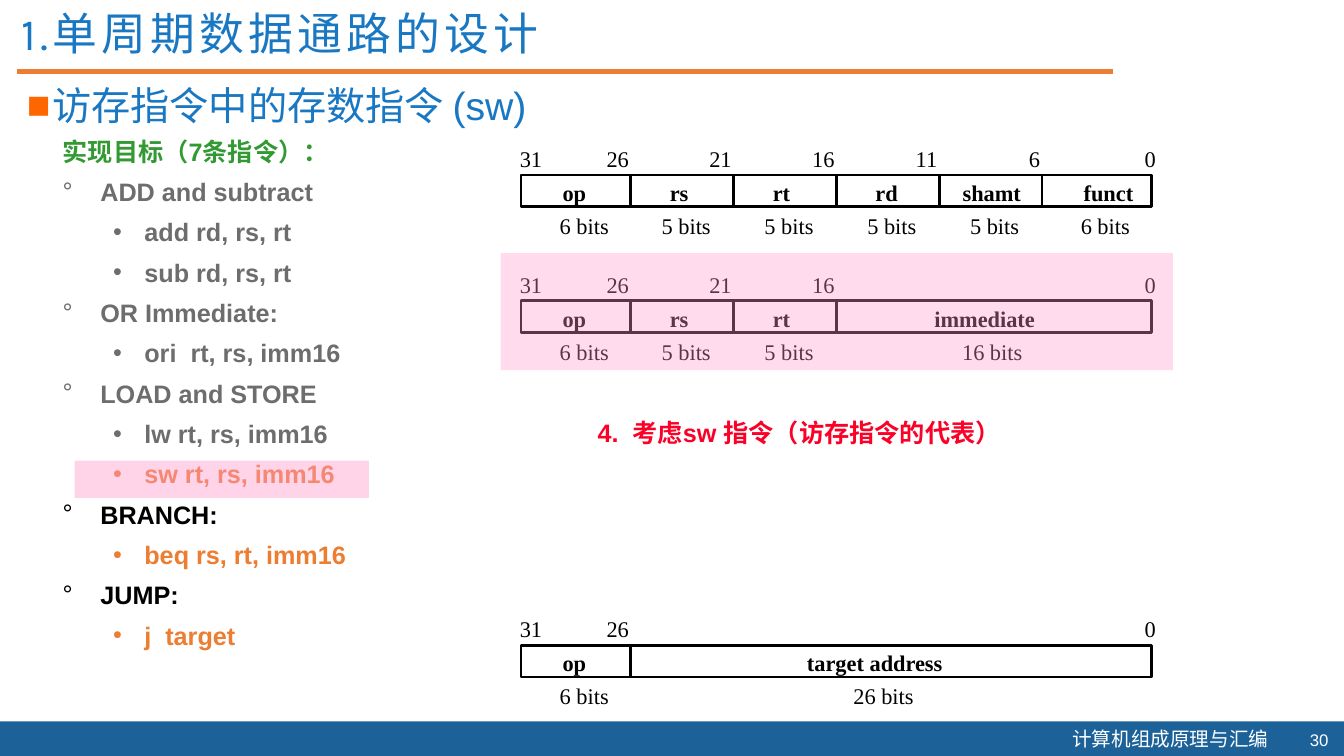
from dataclasses import dataclass
from itertools import accumulate

from lxml.etree import SubElement
from pptx import Presentation
from pptx.dml.color import RGBColor
from pptx.enum.shapes import MSO_CONNECTOR as Connector, MSO_SHAPE as Shape
from pptx.enum.text import MSO_ANCHOR as Anchor, PP_ALIGN as Align
from pptx.oxml.ns import qn
from pptx.util import Cm, Pt


@dataclass(frozen=True)
class Theme:
    """Colours, fonts and type sizes of the slide."""
    blue: str = "1A78C3"
    bar: str = "1C6299"
    orange: str = "ED7D31"
    marker: str = "FF6600"
    green: str = "339933"
    gray: str = "6D6D6D"
    red: str = "FC0128"
    pink: str = "FF99CC"
    black: str = "000000"
    white: str = "FFFFFF"
    sans: str = "Arial"
    serif: str = "Times New Roman"
    heading: str = "Karla"
    chinese: str = "Noto Sans CJK SC"
    title: int = 32
    subtitle: int = 28
    body: int = 18
    field: int = 16
    footer: int = 14
    page: int = 12


@dataclass(frozen=True)
class Box:
    """A rectangle in centimetres."""
    left: float
    top: float
    width: float
    height: float

    def lengths(self):
        """Return the four lengths for a shape call."""
        return [Cm(v) for v in (self.left, self.top, self.width, self.height)]


@dataclass(frozen=True)
class Field:
    """An instruction field between two bit marks, with its text offsets."""
    name: str
    high: int
    low: int
    bits: int
    name_shift: float
    bits_shift: float


T = Theme()
BIT_MARKS = (31, 26, 21, 16, 11, 6, 0)
COLUMN_SHARES = (2.77, 2.59, 2.59, 2.59, 2.59, 2.77)

OP = Field("op", 31, 26, 6, -0.04, 0.21)
RS = Field("rs", 26, 21, 5, -0.08, 0.1)
RT = Field("rt", 21, 16, 5, -0.09, 0.1)
RD = Field("rd", 16, 11, 5, -0.03, 0.1)
SHAMT = Field("shamt", 11, 6, 5, 0.03, 0.1)
FUNCT = Field("funct", 6, 0, 6, 0.29, 0.21)
IMMEDIATE = Field("immediate", 16, 0, 16, -0.24, -0.05)
TARGET = Field("target address", 26, 0, 26, -0.42, -0.2)

FORMATS = (
    (3.53, (OP, RS, RT, RD, SHAMT, FUNCT)),
    (6.7, (OP, RS, RT, IMMEDIATE)),
    (15.38, (OP, TARGET)),
)

GOALS = (
    ("ADD and subtract", T.gray, ("add rd, rs, rt", "sub rd, rs, rt"), T.gray),
    ("OR Immediate:", T.gray, ("ori  rt, rs, imm16",), T.gray),
    ("LOAD and STORE", T.gray, ("lw rt, rs, imm16",), T.gray),
    (None, None, ("sw rt, rs, imm16",), T.orange),
    ("BRANCH:", T.black, ("beq rs, rt, imm16",), T.orange),
    ("JUMP:", T.black, ("j  target",), T.orange),
)


def write(paragraph, words, size=T.body, color=T.black, font=T.sans,
          bold=False, align=Align.LEFT, tracking=0):
    """Add a formatted run to a paragraph."""
    paragraph.alignment = align
    run = paragraph.add_run()
    run.text = words
    run.font.size = Pt(size)
    run.font.bold = bold
    run.font.name = font
    run.font.color.rgb = RGBColor.from_string(color)
    properties = run.font._element
    SubElement(properties, qn("a:ea"), typeface=T.chinese)
    if tracking:
        properties.set("spc", str(tracking * 100))


def set_bullet(paragraph, mark, margin, hanging, color=None):
    """Give a paragraph a bullet and a hanging indent."""
    properties = paragraph._p.get_or_add_pPr()
    properties.set("marL", str(Cm(margin)))
    properties.set("indent", str(-Cm(hanging)))
    if color:
        SubElement(SubElement(properties, qn("a:buClr")), qn("a:srgbClr"), val=color)
    SubElement(properties, qn("a:buFont"), typeface=T.sans)
    SubElement(properties, qn("a:buChar"), char=mark)


def add_frame(slide, box, side=0.25, top=0.13, wrap=True):
    """Add an empty text box and return its text frame."""
    frame = slide.shapes.add_textbox(*box.lengths()).text_frame
    frame.word_wrap = wrap
    frame.margin_left = frame.margin_right = Cm(side)
    frame.margin_top = frame.margin_bottom = Cm(top)
    return frame


def add_panel(slide, box, fill=None, opacity=100):
    """Add a plain rectangle, filled or with a black outline."""
    panel = slide.shapes.add_shape(Shape.RECTANGLE, *box.lengths())
    panel.shadow.inherit = False
    if fill:
        panel.fill.solid()
        panel.fill.fore_color.rgb = RGBColor.from_string(fill)
        panel.line.fill.background()
        if opacity < 100:
            color = panel.fill._xPr.find(qn("a:solidFill"))[0]
            SubElement(color, qn("a:alpha"), val=str(opacity * 1000))
    else:
        panel.fill.background()
        panel.line.color.rgb = RGBColor.from_string(T.black)
        panel.line.width = Pt(2)
    return panel


def add_header(slide, box):
    """Place the title, its rule and the subtitle."""
    title = slide.shapes.title
    title.left, title.top, title.width, title.height = Box(
        box.left - 0.15, box.top, 27.05, 1.22).lengths()
    frame = title.text_frame
    frame.word_wrap = True
    frame.vertical_anchor = Anchor.TOP
    frame.paragraphs[0].line_spacing = 0.9
    write(frame.paragraphs[0], "1.单周期数据通路的设计", size=T.title,
          color=T.blue, font=T.heading, tracking=3)

    rule_top = Cm(box.top + 1.62)
    rule = slide.shapes.add_connector(
        Connector.STRAIGHT, Cm(box.left), rule_top, Cm(box.left + 27.61), rule_top)
    rule.line.color.rgb = RGBColor.from_string(T.orange)
    rule.line.width = Pt(3)
    SubElement(rule._element.spPr, qn("a:effectLst"))

    subtitle = add_frame(
        slide, Box(box.left, box.top + 1.75, box.width, 1.93)).paragraphs[0]
    set_bullet(subtitle, "■", 0.64, 0.64, T.marker)
    write(subtitle, "访存指令中的存数指令 (sw)", size=T.subtitle, color=T.blue)


def add_goals(slide, box):
    """Place the list of instructions to implement."""
    frame = add_frame(slide, box, side=0.18, top=0.08)
    write(frame.paragraphs[0], "实现目标（7条指令）：", color=T.green, bold=True)
    for group, group_color, instructions, color in GOALS:
        lines = [(group, group_color, "°", 0.95, 0.95)] if group else []
        lines += [(words, color, "•", 2.06, 0.79) for words in instructions]
        for words, line_color, mark, margin, hanging in lines:
            line = frame.add_paragraph()
            line.space_before = Pt(7.2)
            set_bullet(line, mark, margin, hanging)
            write(line, words, color=line_color, bold=True)


def add_format(slide, box, fields):
    """Place one instruction format: bit marks, named cells and field sizes."""
    scale = box.width / sum(COLUMN_SHARES)
    edges = {bit: box.left + share * scale for bit, share in
             zip(BIT_MARKS, accumulate(COLUMN_SHARES, initial=0))}
    cell_top, cell_height, label_height = box.top + 0.88, 0.8, 0.91

    def label(left, top, words, align):
        frame = add_frame(slide, Box(left, top, 2, label_height), side=0, wrap=False)
        write(frame.paragraphs[0], words, size=T.field, font=T.serif, align=align)

    label(box.left - 0.03, box.top, str(BIT_MARKS[0]), Align.LEFT)
    for field in fields:
        left, right = edges[field.high], edges[field.low]
        cell = add_panel(slide, Box(left, cell_top, right - left, cell_height))
        frame = cell.text_frame
        frame.word_wrap = False
        frame.vertical_anchor = Anchor.TOP
        frame.margin_top = Cm(0.1)
        frame.margin_bottom = 0
        frame.margin_left = Cm(max(0, 2 * field.name_shift))
        frame.margin_right = Cm(max(0, -2 * field.name_shift))
        write(frame.paragraphs[0], field.name, size=T.field, font=T.serif,
              bold=True, align=Align.CENTER)
        mark_shift = -0.05 if field.low else 0.1
        label(right - 2 + mark_shift, box.top, str(field.low), Align.RIGHT)
        label((left + right) / 2 - 1 + field.bits_shift, cell_top + cell_height,
              f"{field.bits} bits", Align.CENTER)


def add_footer(slide, box):
    """Place the bottom bar with the course name and page number."""
    add_panel(slide, box, fill=T.bar)
    course = add_frame(slide, Box(box.left + 26.77, box.top, 5.54, 0.86))
    write(course.paragraphs[0], "计算机组成原理与汇编", size=T.footer,
          color=T.white, font=T.chinese)
    page = add_frame(slide, Box(box.left + 32.46, box.top + 0.08, 1.27, 0.76))
    page.vertical_anchor = Anchor.MIDDLE
    write(page.paragraphs[0], "30", size=T.page, color=T.white, align=Align.RIGHT)


def main():
    """Build the slide and save it."""
    deck = Presentation()
    deck.slide_width, deck.slide_height = Cm(33.87), Cm(19.05)
    slide = deck.slides.add_slide(deck.slide_layouts[5])
    add_footer(slide, Box(0, 18.18, 33.87, 0.87))
    add_header(slide, Box(0.43, 0.18, 32.87, 3.68))
    for top, fields in FORMATS:
        add_format(slide, Box(13.13, top, 15.9, 2.59), fields)
    add_goals(slide, Box(1.4, 3.35, 8.81, 13.28))
    callout = add_frame(slide, Box(14.81, 10.39, 11.33, 1.02))
    write(callout.paragraphs[0], "4.  考虑sw 指令（访存指令的代表）",
          color=T.red, bold=True)
    add_panel(slide, Box(1.88, 11.61, 7.42, 0.94), fill=T.pink, opacity=42)
    add_panel(slide, Box(12.62, 6.38, 16.94, 2.95), fill=T.pink, opacity=35)
    deck.save("out.pptx")


if __name__ == "__main__":
    main()
